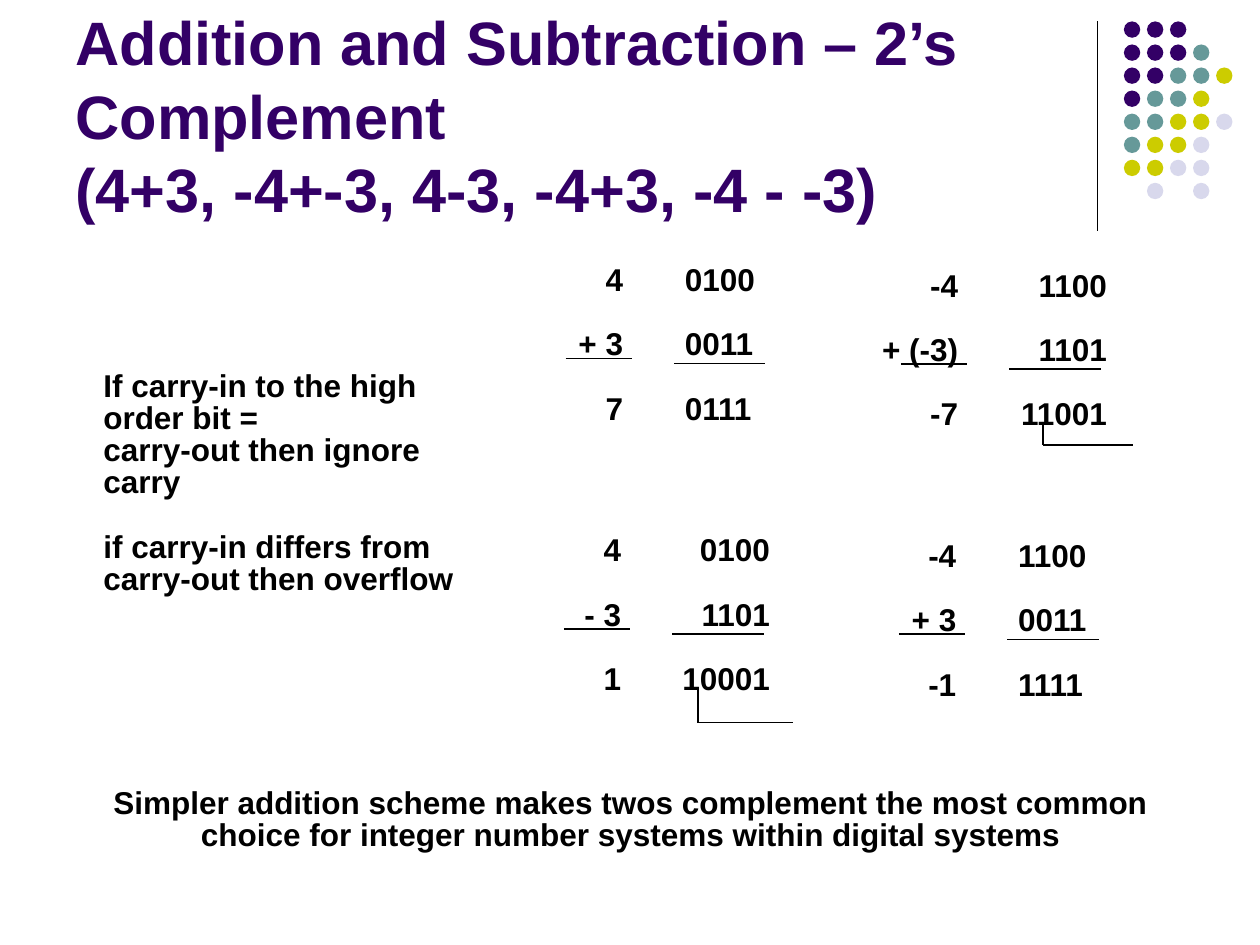
from dataclasses import dataclass

from pptx import Presentation
from pptx import util as u
from pptx.dml.color import RGBColor
from pptx.enum import shapes, text
from pptx.oxml.ns import qn
from lxml import etree


@dataclass(frozen=True)
class Theme:
    font: str = "Arial"
    title: str = "330066"
    ink: str = "000000"
    title_pt: float = 35
    body_pt: float = 18
    line_spacing: float = 0.85
    gap_pt: float = 18.36  # one empty line of body text
    rule_pt: float = 1
    divider_pt: float = 0.75


THEME = Theme()
DOT_COLORS = {"P": "330066", "T": "669999", "Y": "CCCC00", "L": "D8D8EC"}
DOT_ROWS = ["PPP", "PPPT", "PPTTY", "PTTY", "TTYYL", "TYYL", "YYLL", " L L"]
CELL = u.Inches(0.1)  # the slide is a grid of 100 columns by 75 rows
LEFT, CENTER, RIGHT = (text.PP_ALIGN.LEFT, text.PP_ALIGN.CENTER,
                       text.PP_ALIGN.RIGHT)
SLACK = 0.6  # spare box width, so that no line breaks
SLACK_SHIFT = {LEFT: 0, CENTER: SLACK / 2, RIGHT: SLACK}


def grid(*cells):
    return [u.Emu(round(n * CELL)) for n in cells]


def add_line(s, x1, y1, x2, y2, width=THEME.rule_pt):
    ln = s.shapes.add_connector(shapes.MSO_CONNECTOR.STRAIGHT,
                                *grid(x1, y1, x2, y2))
    ln.line.color.rgb = RGBColor.from_string(THEME.ink)
    ln.line.width = u.Pt(width)
    etree.SubElement(ln._element.spPr, qn("a:effectLst"))


def add_run(p, words, size, color):
    r = p.add_run()
    r.text = words
    r.font.name, r.font.size, r.font.bold = THEME.font, u.Pt(size), True
    r.font.color.rgb = RGBColor.from_string(color)


def add_title(s, box, lines):
    tf = s.shapes.add_textbox(*grid(*box)).text_frame
    tf.word_wrap = True
    tf.vertical_anchor = text.MSO_ANCHOR.BOTTOM
    p = tf.paragraphs[0]
    for i, line in enumerate(lines):
        if i:
            p.add_line_break()
        add_run(p, line, THEME.title_pt, THEME.title)


def add_text(s, box, lines, align=LEFT, gaps=()):
    """Body text; gaps holds the indexes of lines with a space above."""
    x, y, width, height = box
    tf = s.shapes.add_textbox(*grid(x - SLACK_SHIFT[align], y,
                                    width + SLACK, height)).text_frame
    tf.word_wrap = True
    tf.auto_size = text.MSO_AUTO_SIZE.NONE
    tf.margin_left = tf.margin_right = u.Inches(0.07)
    tf.margin_top = tf.margin_bottom = u.Inches(0.03)
    for i, line in enumerate(lines):
        p = tf.add_paragraph() if i else tf.paragraphs[0]
        p.alignment, p.line_spacing = align, THEME.line_spacing
        if i in gaps:
            p.space_before = u.Pt(THEME.gap_pt)
        add_run(p, line, THEME.body_pt, THEME.ink)


def add_dots(s, left, top, pitch, size):
    for row, marks in enumerate(DOT_ROWS):
        for col, mark in enumerate(marks):
            if mark == " ":
                continue
            sp = s.shapes.add_shape(
                shapes.MSO_SHAPE.OVAL,
                *grid(left + col * pitch, top + row * pitch, size, size))
            sp.shadow.inherit = False
            sp.fill.solid()
            sp.fill.fore_color.rgb = RGBColor.from_string(DOT_COLORS[mark])
            sp.line.fill.background()


def add_sum(s, col, row, decimals, width, bits, carry=None):
    """One worked sum: decimal column, binary column, rules, carry mark."""
    x = 44.9 + 26.6 * col - 0.15 * row
    y = 20.8 + 0.45 * col + 21.45 * row
    add_text(s, (x + 5.25 - width, y, width, 13.3), decimals, RIGHT, (1, 2))
    add_line(s, x, y + 7.65, x + 5.25, y + 7.65)
    bits_width, align = (8.3, RIGHT) if carry else (7, LEFT)
    add_text(s, (x + 8.75, y, bits_width, 13.3), bits, align, (1, 2))
    add_line(s, x + 8.6, y + 8.05, x + 15.85, y + 8.05)
    if carry:
        left, top, right, bottom = carry
        add_line(s, x + left, y + top, x + left, y + bottom)
        add_line(s, x + left, y + bottom, x + right, y + bottom)


def main():
    prs = Presentation()
    prs.slide_width, prs.slide_height = grid(100, 75)
    s = prs.slides.add_slide(prs.slide_layouts[6])

    # Corner decoration
    add_line(s, 87.1, 1.7, 87.1, 18.3, THEME.divider_pt)
    add_dots(s, 89.2, 1.7, 1.83, 1.3)

    # Title
    add_title(s, (5, 4.15, 94.2, 14.2),
              ["Addition and Subtraction – 2’s Complement",
               "(4+3, -4+-3, 4-3, -4+3, -4 - -3)"])

    # Worked sums
    add_sum(s, 0, 0, ["4", "+ 3", "7"], 4.9, ["0100", "0011", "0111"])
    add_sum(s, 1, 0, ["-4", "+ (-3)", "-7"], 7.4, ["1100", "1101", "11001"],
            carry=(11.3, 12.5, 18.4, 14.1))
    add_sum(s, 0, 1, ["4", "- 3", "1"], 4.3, ["0100", "1101", "10001"],
            carry=(10.65, 12.3, 18.15, 15.1))
    add_sum(s, 1, 1, ["-4", "+ 3", "-1"], 4.9, ["1100", "0011", "1111"])

    # Carry rules and conclusion
    add_text(s, (7.5, 29.2, 29.2, 18.4),
             ["If carry-in to the high", "order bit =",
              "carry-out then ignore", "carry",
              "if carry-in differs from", "carry-out then overflow"], gaps=(4,))
    add_text(s, (8.3, 62.3, 83.5, 5.7),
             ["Simpler addition scheme makes twos complement the most common",
              "choice for integer number systems within digital systems"], CENTER)

    prs.save("out.pptx")


if __name__ == "__main__":
    main()
